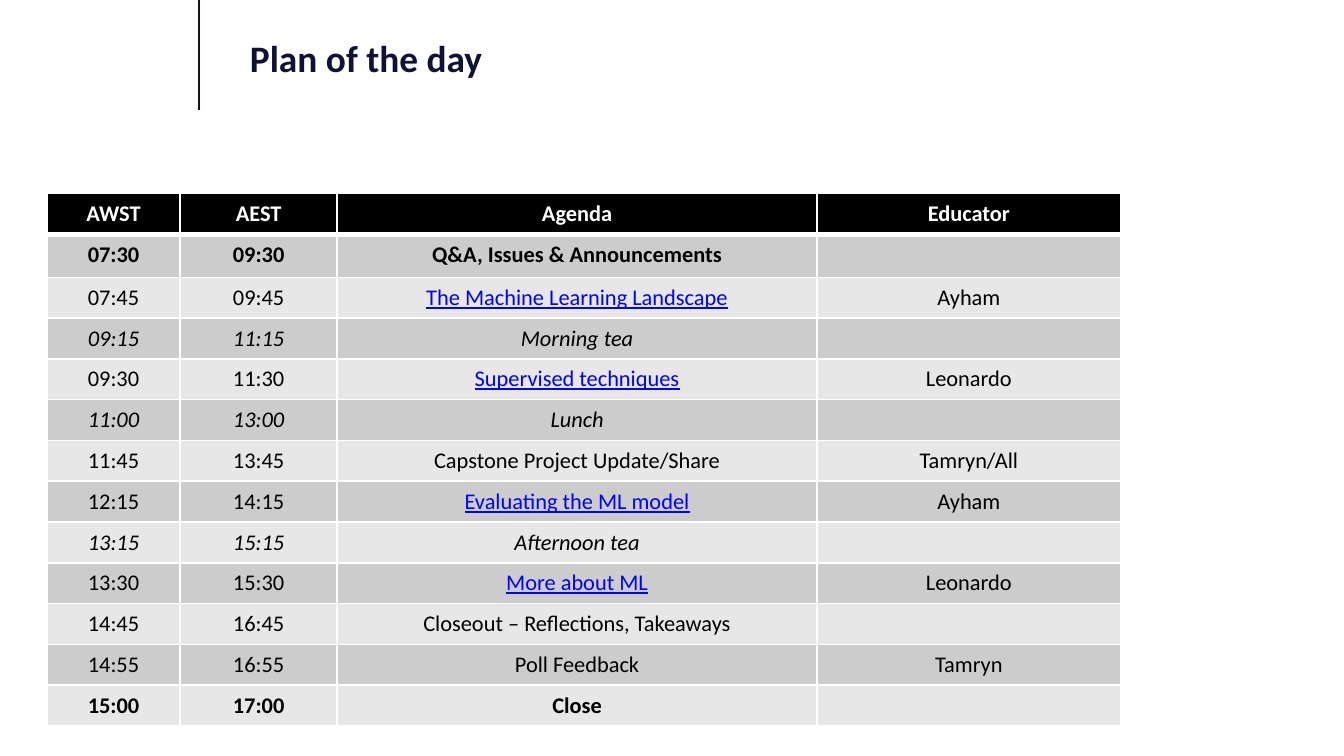
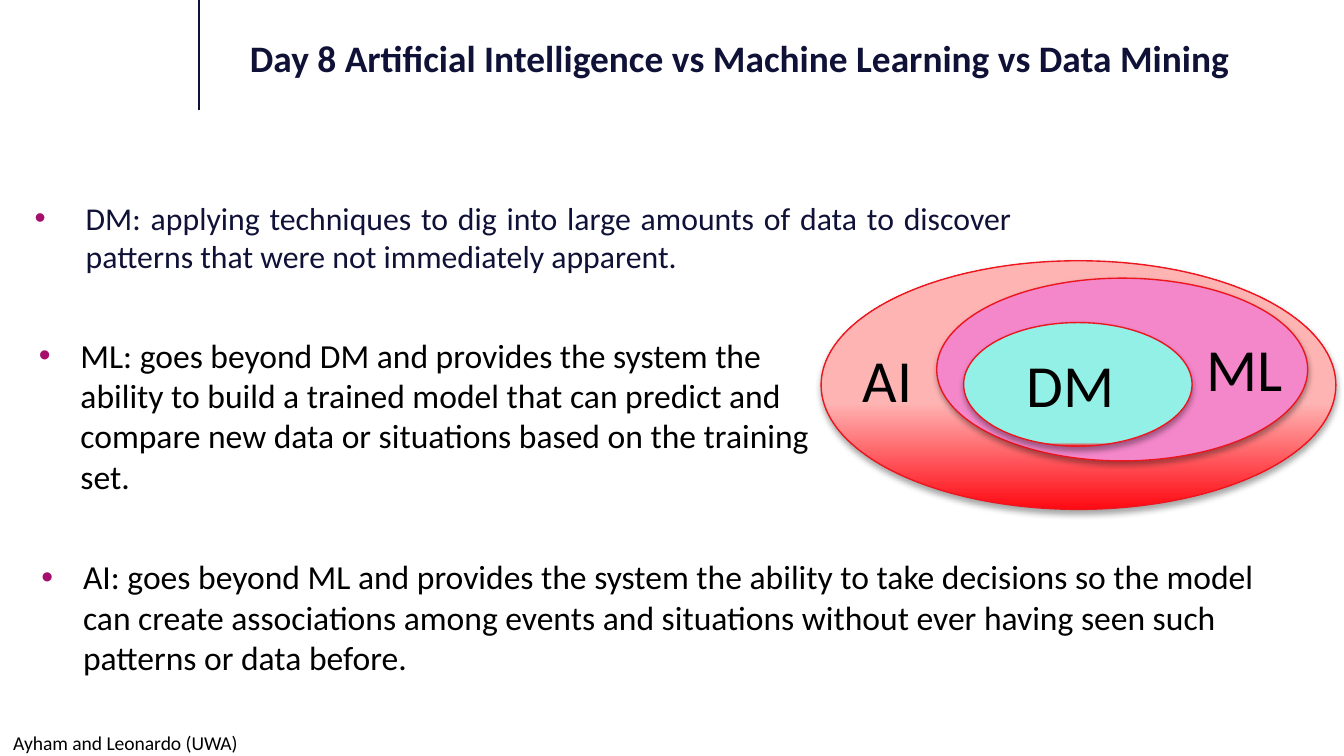
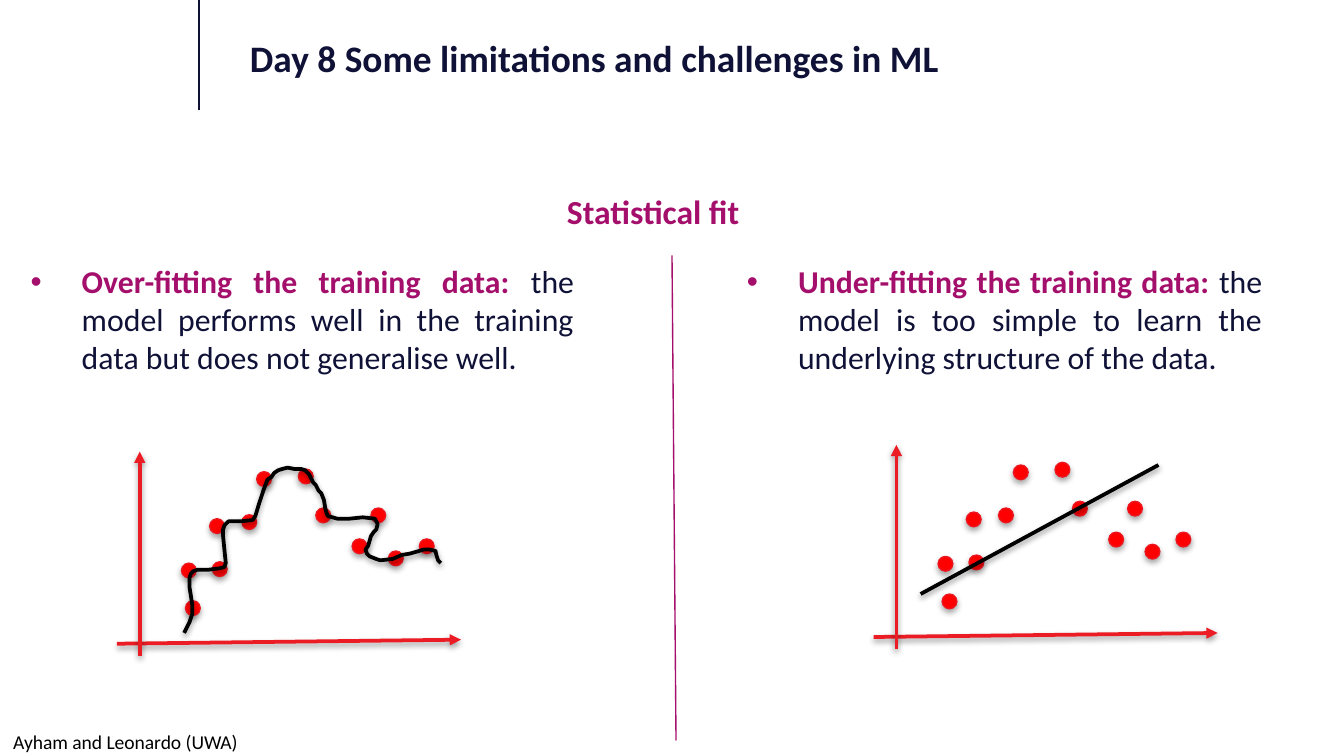
from pptx import Presentation
from pptx.dml.color import RGBColor
from pptx.enum.shapes import MSO_CONNECTOR, MSO_SHAPE
from pptx.enum.text import MSO_ANCHOR, MSO_AUTO_SIZE, PP_ALIGN
from pptx.oxml import parse_xml
from pptx.oxml.ns import nsdecls, qn
from pptx.util import Pt

PX = 9144  # 100 px to the inch
OVAL, LINE = MSO_SHAPE.OVAL, MSO_CONNECTOR.STRAIGHT
LEFT, MID, JUST = PP_ALIGN.LEFT, PP_ALIGN.CENTER, PP_ALIGN.JUSTIFY
TOP, FIXED = MSO_ANCHOR.TOP, MSO_AUTO_SIZE.NONE


class Theme:
    font = "Calibri"
    navy, plum, black, white = "0F1137", "A40F6C", "000000", "FFFFFF"
    link, edge, axis, dot = "0000FF", "EC161F", "EC1C24", "FF0000"
    glow, pale, pink, teal = "FF0912", "FFB4B4", "F486CA", "93F0E6"
    bands = ("CCCCCC", "E7E7E7")
    head, lead, body, cell, foot, label = 20, 18, 17, 12, 10.5, 32


T = Theme
rgb = RGBColor.from_string


def put(frame, runs, align=LEFT, indent=0):
    """Fill a frame with (text, size, colour, styles) runs; an indent adds a bullet."""
    para = frame.paragraphs[0]
    para.alignment = align
    if indent:
        props = para._p.get_or_add_pPr()
        props.set("marL", str(indent * PX))
        props.set("indent", str(-indent * PX))
        for tag in (f'<a:buClr %s><a:srgbClr val="{T.plum}"/></a:buClr>',
                    '<a:buFont %s typeface="Arial"/>', '<a:buChar %s char="•"/>'):
            props.append(parse_xml(tag % nsdecls("a")))
    for text, size, color, style in runs:
        run = para.add_run()
        run.text = text
        font = run.font
        font.name, font.size, font.color.rgb = T.font, Pt(size), rgb(color)
        font.bold, font.italic, font.underline = ("b" in style, "i" in style, "u" in style)


def trim(shape, color, width, drop=0, alpha=0, arrow=False):
    """Set the outline, the shadow and the arrowhead of a shape."""
    shape.line.color.rgb, shape.line.width = rgb(color), Pt(width)
    props = shape.element.spPr
    if arrow:
        props.find(qn("a:ln")).append(parse_xml(f'<a:tailEnd {nsdecls("a")} type="triangle"/>'))
    cast = (f'<a:outerShdw blurRad="40000" dist="{drop}" dir="5400000" rotWithShape="0">'
            f'<a:srgbClr val="{T.black}"><a:alpha val="{alpha}000"/></a:srgbClr>'
            '</a:outerShdw>') if drop else ""
    props.append(parse_xml(f'<a:effectLst {nsdecls("a")}>{cast}</a:effectLst>'))


deck = Presentation()
deck.slide_width = 1000 * PX
deck.slide_height = deck.slide_width * 9 // 16
layout = deck.slide_layouts[5]
for holder in list(layout.placeholders)[1:]:
    holder.element.getparent().remove(holder.element)

# Titles and the rule beside them
slides = []
for name in ("Plan of the day",
             "Day 8 Artificial Intelligence vs Machine Learning vs Data Mining",
             "Day 8 Some limitations and challenges in ML"):
    slide = deck.slides.add_slide(layout)
    title = slide.shapes.title
    title.left, title.top, title.width, title.height = (n * PX for n in (176, 21, 760, 49))
    title.text_frame.auto_size = FIXED
    title.text_frame.vertical_anchor = TOP
    put(title.text_frame, [(name, T.head, T.navy, "b")])
    slides.append(slide)
plan, kinds, limits = slides
rule = plan.shapes.add_connector(LINE, 148 * PX, 82 * PX, 148 * PX, 0)
trim(rule, T.navy, 1.25)
layout.shapes.element.append(rule.element)

# Agenda: AWST, AEST, item, educator, style
agenda = [
    ("AWST", "AEST", "Agenda", "Educator", "b"),
    ("07:30", "09:30", "Q&A, Issues & Announcements", "", "b"),
    ("07:45", "09:45", "The Machine Learning Landscape", "Ayham", "u"),
    ("09:15", "11:15", "Morning tea", "", "i"),
    ("09:30", "11:30", "Supervised techniques", "Leonardo", "u"),
    ("11:00", "13:00", "Lunch", "", "i"),
    ("11:45", "13:45", "Capstone Project Update/Share", "Tamryn/All", ""),
    ("12:15", "14:15", "Evaluating the ML model", "Ayham", "u"),
    ("13:15", "15:15", "Afternoon tea", "", "i"),
    ("13:30", "15:30", "More about ML", "Leonardo", "u"),
    ("14:45", "16:45", "Closeout – Reflections, Takeaways", "", ""),
    ("14:55", "16:55", "Poll Feedback", "Tamryn", ""),
    ("15:00", "17:00", "Close", "", "b"),
]
table = plan.shapes.add_table(len(agenda), 4, 35 * PX, 144 * PX, 799 * PX, 397 * PX).table
for col, width in zip(table.columns, (99, 117, 357, 226)):
    col.width = width * PX
for r, (*words, style) in enumerate(agenda):
    table.rows[r].height = (32 if r == 1 else 30) * PX
    for c, word in enumerate(words):
        cell = table.cell(r, c)
        props = cell._tc.get_or_add_tcPr()
        for side in "LRTB":
            thick = 3 if (r, side) in ((0, "B"), (1, "T")) else 1
            props.append(parse_xml(
                f'<a:ln{side} {nsdecls("a")} w="{Pt(thick)}"><a:solidFill>'
                f'<a:srgbClr val="{T.white}"/></a:solidFill></a:ln{side}>'))
        cell.fill.solid()
        cell.fill.fore_color.rgb = rgb(T.bands[(r + 1) % 2] if r else T.black)
        linked = style == "u" and c == 2
        color = T.link if linked else T.black if r else T.white
        look = style if linked or style != "u" else ""
        put(cell.text_frame, [(word, T.cell, color, look)] if word else [], MID)
        if not word:
            end = cell.text_frame.paragraphs[0]._p.get_or_add_endParaRPr()
            end.set("sz", str(T.cell * 100))

# Nested fields: AI holds ML, ML holds DM
for x, y, w, h, color, stop in ((611, 194, 383, 185, T.pale, 0.43),
                                (697, 207, 276, 136, T.pink, 0),
                                (717, 240, 170, 92, T.teal, 0.03)):
    field = kinds.shapes.add_shape(OVAL, x * PX, y * PX, w * PX, h * PX)
    field.fill.gradient()
    field.fill.gradient_angle = 90
    low, high = field.fill.gradient_stops
    low.color.rgb, low.position = rgb(T.glow), 0
    high.color.rgb, high.position = rgb(color), stop
    trim(field, T.edge, 0.75, 23000, 35)

# Two plots of the same dots, the second moved by a fixed step
dots = [(158, 418), (138, 447), (135, 419), (156, 386), (180, 383), (191, 351),
        (222, 349), (235, 378), (276, 378), (262, 401), (289, 410), (312, 401)]
curve = [(137, 471), (139, 467), (141, 463), (143, 457), (143, 450), (142, 443),
         (141, 437), (141, 430), (142, 427), (144, 425), (147, 424), (155, 424),
         (163, 423), (167, 422), (168, 419), (167, 409), (166, 399), (166, 394),
         (167, 391), (170, 388), (179, 388), (188, 387), (190, 384), (193, 374),
         (195, 368), (196, 365), (199, 357), (202, 355), (204, 352), (207, 350),
         (210, 349), (214, 348), (219, 349), (224, 349), (227, 350), (230, 353),
         (233, 359), (235, 361), (237, 365), (239, 367), (241, 372), (242, 378),
         (243, 382), (244, 384), (251, 386), (260, 386), (270, 385), (279, 386),
         (281, 390), (280, 394), (278, 396), (276, 399), (274, 406), (272, 409),
         (273, 412), (275, 414), (280, 416), (283, 417), (292, 416), (299, 413),
         (305, 412), (312, 410), (315, 409), (320, 409), (324, 410), (325, 414),
         (326, 417), (328, 419)]
for dx, dy in ((0, 0), (563, -5)):
    plot = limits.shapes.add_group_shape().shapes
    for x, y, u, v in ((87, 479, 343, 476), (104, 488, 104, 336)):
        axis = plot.add_connector(LINE, (x + dx) * PX, (y + dy) * PX,
                                  (u + dx) * PX, (v + dy) * PX)
        trim(axis, T.axis, 2, 20000, 38, True)
    for x, y in dots:
        dot = plot.add_shape(OVAL, (x + dx) * PX, (y + dy) * PX, 11 * PX, 11 * PX)
        dot.fill.solid()
        dot.fill.fore_color.rgb = rgb(T.dot)
        trim(dot, T.edge, 0.75, 23000, 35)
    if dx:
        fit = plot.add_connector(LINE, 685 * PX, 442 * PX, 862 * PX, 346 * PX)
    else:
        pen = plot.build_freeform(*curve[0], scale=PX)
        pen.add_line_segments(curve[1:], close=False)
        fit = pen.convert_to_shape()
        fit.fill.background()
    trim(fit, T.black, 2, 20000, 38)
split = limits.shapes.add_connector(LINE, 500 * PX, 190 * PX, 503 * PX, 551 * PX)
trim(split, T.plum, 0.75)

# Text boxes: slide, place, alignment, bullet indent, runs
credit = [("Ayham and Leonardo (UWA)", T.foot, T.black, "")]
notes = [
    (kinds, (0, 539, 760, 24), LEFT, 0, credit),
    (limits, (0, 538, 760, 24), LEFT, 0, credit),
    (kinds, (632, 250, 67, 64), LEFT, 0, [("AI", T.label, T.black, "")]),
    (kinds, (888, 242, 77, 64), LEFT, 0, [("ML", T.label, T.black, "")]),
    (kinds, (754, 254, 102, 64), LEFT, 0, [("DM", T.label, T.black, "")]),
    (kinds, (16, 143, 747, 106), JUST, 38, [
        ("DM: applying techniques to dig into large amounts of data to discover "
         "patterns that were not immediately apparent.", T.body, T.navy, "")]),
    (kinds, (19, 244, 619, 131), LEFT, 31, [
        ("ML: goes beyond DM and provides the system the ability to build a trained "
         "model that can predict and compare new data or situations based on the "
         "training set.", T.lead, T.black, "")]),
    (kinds, (21, 409, 944, 101), LEFT, 31, [
        ("AI: goes beyond ML and provides the system the ability to take decisions so "
         "the model can create associations among events and situations without ever "
         "having seen such patterns or data before.", T.lead, T.black, "")]),
    (limits, (412, 137, 202, 36), LEFT, 0, [("Statistical fit", T.lead, T.plum, "b")]),
    (limits, (13, 190, 424, 141), JUST, 38, [
        ("Over-fitting the training data: ", T.body, T.plum, "b"),
        ("the model performs well in the training data but does not generalise well.",
         T.body, T.navy, "")]),
    (limits, (546, 190, 403, 124), JUST, 38, [
        ("Under-fitting the training data: ", T.body, T.plum, "b"),
        ("the model is too simple to learn the underlying structure of the data.",
         T.body, T.navy, "")]),
]
for slide, place, align, indent, runs in notes:
    frame = slide.shapes.add_textbox(*(n * PX for n in place)).text_frame
    frame.word_wrap = True
    put(frame, runs, align, indent)

deck.save("out.pptx")
